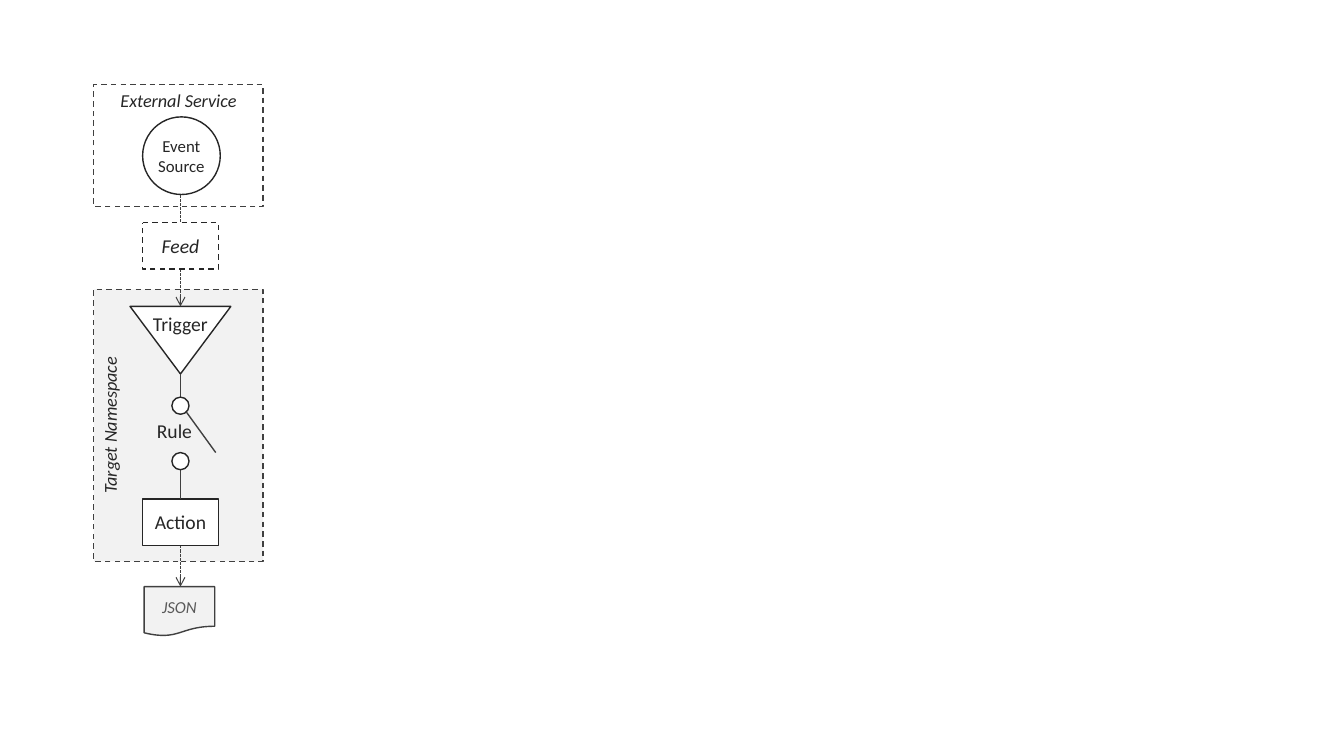
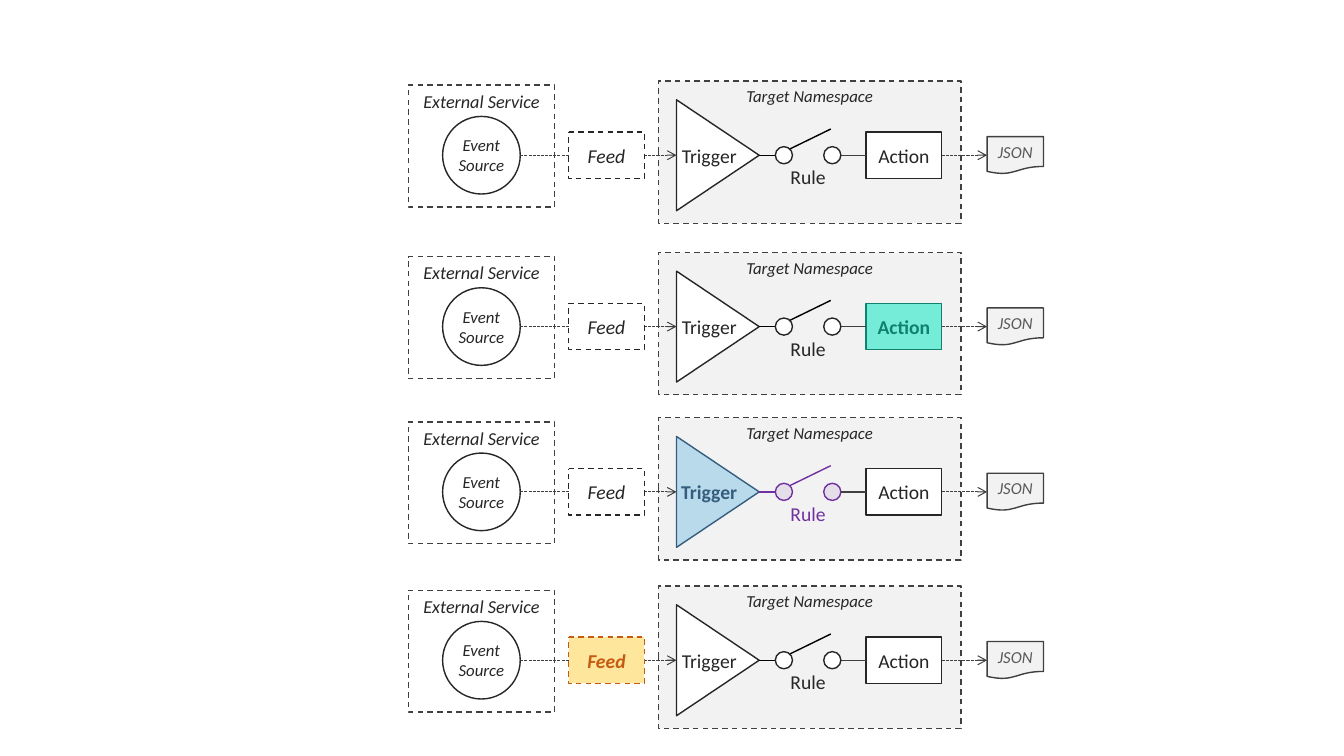
from dataclasses import dataclass, field

from lxml.etree import SubElement
from pptx import Presentation
from pptx.dml.color import RGBColor
from pptx.enum.dml import MSO_LINE
from pptx.enum.shapes import MSO_CONNECTOR, MSO_SHAPE
from pptx.enum.text import MSO_ANCHOR, MSO_AUTO_SIZE, PP_ALIGN
from pptx.oxml.ns import qn
from pptx.util import Inches, Pt

COLUMNS, ROWS = 1333, 750  # grid cells across and down the slide
SLIDE_WIDTH, SLIDE_HEIGHT = Inches(13.33), Inches(7.5)


@dataclass(frozen=True)
class Theme:
    """Colours, font and sizes shared by both slides."""
    font: str = "Calibri"
    ink: str = "262626"
    edge: str = "404040"
    muted: str = "595959"
    black: str = "000000"
    paper: str = "FFFFFF"
    panel: str = "F2F2F2"
    part_size: int = 14
    service_size: int = 13
    small_size: int = 12
    outline: float = 1
    signal: float = 0.75


THEME = Theme()


@dataclass(frozen=True)
class Paint:
    """Fill, line and text colour of one part, with its emphasis."""
    fill: str = THEME.paper
    line: str = THEME.ink
    text: str = THEME.ink
    bold: bool = False
    opacity: int = 100


PLAIN = Paint()
SERVICE = Paint(line=THEME.edge)
NAMESPACE = Paint(THEME.panel, THEME.edge)
DOCUMENT = Paint(THEME.panel, THEME.edge, THEME.muted)
TEAL = Paint("74ECD8", "11816D", "11816D", True)
BLUE = Paint("B8DAEA", "345D7F", "345D7F", True)
PURPLE = Paint("7030A0", "7030A0", "7030A0", opacity=10)
AMBER = Paint("FFE69D", "C55A11", "C55A11", True)


@dataclass(frozen=True)
class Station:
    """Extent of a part along the flow, and its span and shift across it."""
    start: int
    length: int
    span: int
    shift: int = 0

    @property
    def end(self):
        return self.start + self.length


@dataclass(frozen=True)
class Flow:
    """Direction, stations and text variations of one kind of flow."""
    across_page: bool
    stations: dict
    arm: tuple
    wire: str
    namespace_size: int
    namespace_turn: int = 0
    trigger_turn: int = 0
    trigger_text: dict = field(default_factory=dict)
    italic_event: bool = False


DOWNWARD = Flow(
    across_page=False,
    stations={
        "service": Station(0, 121, 168, -2),
        "event": Station(32, 77, 77, 1),
        "feed": Station(137, 46, 75),
        "namespace": Station(203, 270, 168, -2),
        "trigger": Station(220, 67, 100),
        "near contact": Station(310, 17, 17),
        "far contact": Station(365, 17, 17),
        "rule": Station(327, 34, 61, -6),
        "action": Station(411, 46, 75),
        "json": Station(498, 49, 70, -1),
    },
    arm=((325, 6), (365, 35)),
    wire=THEME.edge,
    namespace_size=THEME.service_size,
)
RIGHTWARD = Flow(
    across_page=True,
    stations={
        "service": Station(0, 145, 121, -9),
        "event": Station(34, 77, 77),
        "feed": Station(159, 75, 46),
        "namespace": Station(248, 300, 141, -3),
        "trigger": Station(266, 82, 110),
        "near contact": Station(364, 17, 17),
        "far contact": Station(412, 17, 17),
        "rule": Station(366, 61, 34, 22),
        "action": Station(454, 75, 46),
        "json": Station(574, 56, 37),
    },
    arm=((378, -6), (419, -26)),
    wire=THEME.black,
    namespace_size=THEME.small_size,
    namespace_turn=90,
    trigger_turn=270,
    trigger_text={"vert": "vert", "insets": (0.1, 0.24, 0.1, 0)},
    italic_event=True,
)


def on_slide(column, row):
    """Turn a grid position into slide lengths."""
    return round(column * SLIDE_WIDTH / COLUMNS), round(row * SLIDE_HEIGHT / ROWS)


def write(shape, text, size, paint=PLAIN, italic=False, anchor=MSO_ANCHOR.MIDDLE,
          wrap=False, vert=None, insets=None):
    """Set centred text in a shape and format its runs."""
    frame = shape.text_frame
    frame.text = text
    frame.word_wrap = wrap
    frame.vertical_anchor = anchor
    if vert:
        shape.element.txBody.bodyPr.set("vert", vert)
    if insets:
        (frame.margin_left, frame.margin_top,
         frame.margin_right, frame.margin_bottom) = map(Inches, insets)
    for paragraph in frame.paragraphs:
        paragraph.alignment = PP_ALIGN.CENTER
        for run in paragraph.runs:
            run.font.name = THEME.font
            run.font.size = Pt(size)
            run.font.bold = paint.bold
            run.font.italic = italic
            run.font.color.rgb = RGBColor.from_string(paint.text)


class Lane:
    """Places parts of one flow relative to the start of its axis."""

    def __init__(self, slide, flow, column, row):
        self.shapes, self.flow = slide.shapes, flow
        self.column, self.row = column, row

    def point(self, along, across=0):
        """Slide position of a point given along and across the axis."""
        if self.flow.across_page:
            return on_slide(self.column + along, self.row + across)
        return on_slide(self.column + across, self.row + along)

    def box(self, part, turn=0):
        """Left, top, width and height of a part before its turn."""
        station = self.flow.stations[part]
        edge = station.shift - station.span / 2
        left, top = self.point(station.start, edge)
        right, bottom = self.point(station.end, edge + station.span)
        width, height = right - left, bottom - top
        if turn % 180:
            left, top = left + (width - height) // 2, top + (height - width) // 2
            width, height = height, width
        return left, top, width, height

    def place(self, part, preset, paint=PLAIN, dashed=False, turn=0):
        """Draw one outlined part at its station."""
        shape = self.shapes.add_shape(preset, *self.box(part, turn))
        shape.rotation = turn
        shape.shadow.inherit = False
        shape.fill.solid()
        shape.fill.fore_color.rgb = RGBColor.from_string(paint.fill)
        if paint.opacity < 100:
            colour = shape.element.spPr.find(qn("a:solidFill"))[0]
            SubElement(colour, qn("a:alpha")).set("val", str(paint.opacity * 1000))
        shape.line.color.rgb = RGBColor.from_string(paint.line)
        shape.line.width = Pt(THEME.outline)
        if dashed:
            shape.line.dash_style = MSO_LINE.DASH
        return shape

    def connect(self, start, end, colour=THEME.edge, signal=False):
        """Draw a wire, or a dashed signal arrow, between two points."""
        wire = self.shapes.add_connector(
            MSO_CONNECTOR.STRAIGHT, *self.point(*start), *self.point(*end))
        wire.line.color.rgb = RGBColor.from_string(colour)
        wire.line.width = Pt(THEME.signal if signal else THEME.outline)
        if signal:
            wire.line.dash_style = MSO_LINE.SQUARE_DOT
            SubElement(wire.line._get_or_add_ln(), qn("a:tailEnd")).set("type", "arrow")
        SubElement(wire.element.spPr, qn("a:effectLst"))

    def join(self, source, target, **style):
        """Connect the end of one part to the start of the next."""
        stations = self.flow.stations
        self.connect((stations[source].end,), (stations[target].start,), **style)


def draw_containers(lane):
    """Draw the namespace panel and the external service with its source."""
    flow = lane.flow
    namespace = lane.place("namespace", MSO_SHAPE.RECTANGLE, NAMESPACE, True,
                           flow.namespace_turn)
    write(namespace, "Target Namespace", flow.namespace_size, italic=True,
          anchor=MSO_ANCHOR.TOP, vert="vert270")
    service = lane.place("service", MSO_SHAPE.RECTANGLE, SERVICE, True)
    write(service, "External Service", THEME.service_size, italic=True,
          anchor=MSO_ANCHOR.TOP)
    event = lane.place("event", MSO_SHAPE.OVAL)
    write(event, "Event\nSource", THEME.small_size, italic=flow.italic_event)


def draw_rule(lane, accent=None):
    """Draw the open switch between trigger and action."""
    colour = accent.line if accent else lane.flow.wire
    lane.join("trigger", "near contact", colour=colour)
    lane.join("far contact", "action")
    lane.connect(*lane.flow.arm, colour=colour)
    for contact in ("near contact", "far contact"):
        lane.place(contact, MSO_SHAPE.FLOWCHART_CONNECTOR, accent or PLAIN)
    label = lane.shapes.add_textbox(*lane.box("rule"))
    write(label, "Rule", THEME.part_size, accent or PLAIN, anchor=MSO_ANCHOR.TOP)
    label.text_frame.auto_size = MSO_AUTO_SIZE.SHAPE_TO_FIT_TEXT


def draw_flow(slide, flow, column, row, accents):
    """Draw a whole flow from event source to JSON result."""
    lane = Lane(slide, flow, column, row)
    draw_containers(lane)
    paint = accents.get("trigger", PLAIN)
    trigger = lane.place("trigger", MSO_SHAPE.FLOWCHART_MERGE, paint,
                         turn=flow.trigger_turn)
    write(trigger, "Trigger", THEME.part_size, paint, **flow.trigger_text)
    lane.join("event", "trigger", signal=True)
    lane.join("action", "json", signal=True)
    document = lane.place("json", MSO_SHAPE.FLOWCHART_DOCUMENT, DOCUMENT)
    write(document, "JSON", THEME.small_size, DOCUMENT, italic=True, wrap=True)
    for part, is_feed in (("feed", True), ("action", False)):
        paint = accents.get(part, PLAIN)
        step = lane.place(part, MSO_SHAPE.FLOWCHART_PROCESS, paint, is_feed)
        write(step, part.capitalize(), THEME.part_size, paint, italic=is_feed)
    draw_rule(lane, accents.get("rule"))


def main():
    """Build the single flow and the four highlighted flows."""
    deck = Presentation()
    deck.slide_width, deck.slide_height = SLIDE_WIDTH, SLIDE_HEIGHT
    blank = deck.slide_layouts[6]
    draw_flow(deck.slides.add_slide(blank), DOWNWARD, 179, 84, {})
    comparison = deck.slides.add_slide(blank)
    lanes = {154: {}, 324: {"action": TEAL},
             488: {"trigger": BLUE, "rule": PURPLE}, 655: {"feed": AMBER}}
    for axis_row, accents in lanes.items():
        draw_flow(comparison, RIGHTWARD, 405, axis_row, accents)
    deck.save("out.pptx")


main()
